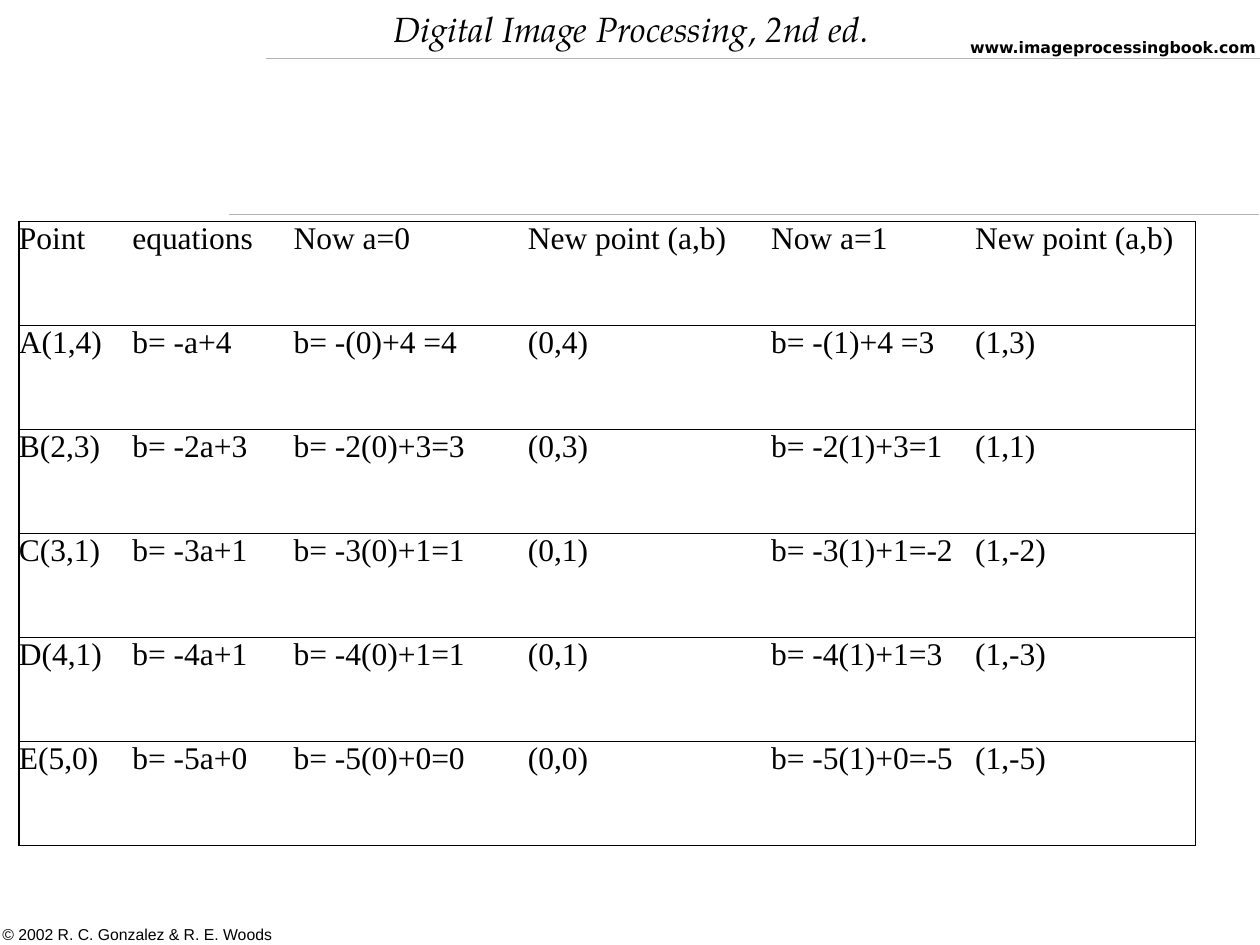
from dataclasses import dataclass

from lxml.etree import SubElement
from pptx import Presentation
from pptx.dml.color import RGBColor
from pptx.enum.shapes import MSO_CONNECTOR
from pptx.enum.text import MSO_ANCHOR, PP_ALIGN
from pptx.oxml import parse_xml
from pptx.oxml.ns import nsdecls, qn
from pptx.util import Inches, Pt

BLACK = RGBColor(0x00, 0x00, 0x00)
WHITE = RGBColor(0xFF, 0xFF, 0xFF)
RULE_GRAY = RGBColor(0xB2, 0xB2, 0xB2)

TABLE_LEFT, TABLE_TOP, TABLE_HEIGHT = 0.15, 1.76, 4.95
COL_WIDTHS = [0.9, 1.28, 1.86, 1.93, 1.62, 1.75]
ROWS = [
    ["Point", "equations", "Now a=0", "New point (a,b)", "Now a=1", "New point (a,b)"],
    ["A(1,4)", "b= -a+4", "b= -(0)+4 =4", "(0,4)", "b= -(1)+4 =3", "(1,3)"],
    ["B(2,3)", "b= -2a+3", "b= -2(0)+3=3", "(0,3)", "b= -2(1)+3=1", "(1,1)"],
    ["C(3,1)", "b= -3a+1", "b= -3(0)+1=1", "(0,1)", "b= -3(1)+1=-2", "(1,-2)"],
    ["D(4,1)", "b= -4a+1", "b= -4(0)+1=1", "(0,1)", "b= -4(1)+1=3", "(1,-3)"],
    ["E(5,0)", "b= -5a+0", "b= -5(0)+0=0", "(0,0)", "b= -5(1)+0=-5", "(1,-5)"],
]


@dataclass
class Label:
    text: str
    left: float
    top: float
    width: float
    height: float
    font: str
    bold: bool = False
    anchor: MSO_ANCHOR = MSO_ANCHOR.TOP
    bottom_inset: float = 0.05


@dataclass
class Rule:
    start: float
    end: float
    y: float


LABELS = [
    Label("www.imageprocessingbook.com", 7.6, 0.25, 2.82, 0.25, "DejaVu Sans", bold=True),
    Label("© 2002 R. C. Gonzalez & R. E. Woods", -0.08, 7.08, 2.43, 0.5, "Arial",
          anchor=MSO_ANCHOR.BOTTOM, bottom_inset=0.09),
]
RULES = [Rule(9.99, 1.82, 1.7), Rule(10, 2.11, 0.46)]


def add_run(p, text: str, font: str, size: float, bold=False, italic=False):
    r = p.add_run()
    r.text = text
    r.font.name = font
    r.font.size = Pt(size)
    r.font.bold = bold
    r.font.italic = italic
    r.font.color.rgb = BLACK
    return r


def add_text_shadow(r) -> None:
    shadow = parse_xml(
        f'<a:effectLst {nsdecls("a")}><a:outerShdw dist="35921" dir="2700000">'
        f'<a:srgbClr val="{RULE_GRAY}"/></a:outerShdw></a:effectLst>')
    r.font._element.find(qn("a:solidFill")).addnext(shadow)


def set_title(slide) -> None:
    sp = slide.shapes.title
    sp.left, sp.top = Inches(3.02), Inches(0.01)
    sp.width, sp.height = Inches(3.98), Inches(0.43)
    tf = sp.text_frame
    tf.word_wrap = False
    tf.vertical_anchor = MSO_ANCHOR.TOP
    p = tf.paragraphs[0]
    p.alignment = PP_ALIGN.CENTER
    r = add_run(p, "Digital Image Processing, 2nd ed.", "TeX Gyre Pagella", 20, italic=True)
    add_text_shadow(r)


def add_label(slide, label: Label) -> None:
    box = slide.shapes.add_textbox(Inches(label.left), Inches(label.top),
                                   Inches(label.width), Inches(label.height))
    tf = box.text_frame
    tf.word_wrap = True
    tf.vertical_anchor = label.anchor
    tf.margin_bottom = Inches(label.bottom_inset)
    add_run(tf.paragraphs[0], label.text, label.font, 9, bold=label.bold)


def add_rule(slide, rule: Rule) -> None:
    line = slide.shapes.add_connector(MSO_CONNECTOR.STRAIGHT, Inches(rule.start), Inches(rule.y),
                                      Inches(rule.end), Inches(rule.y))
    line.line.color.rgb = RULE_GRAY
    line.line.width = Pt(0.25)
    SubElement(line._element.spPr, qn("a:effectLst"))


def set_borders(cell, visible: str) -> None:
    """Draw the sides named in visible (L, R, T, B) and hide the others."""
    tc_pr = cell._tc.get_or_add_tcPr()
    for i, side in enumerate("LRTB"):
        ln = parse_xml(f'<a:ln{side} {nsdecls("a")} w="{Pt(1)}"/>')
        if side in visible:
            fill = SubElement(ln, qn("a:solidFill"))
            SubElement(fill, qn("a:srgbClr"), val=str(BLACK))
        else:
            SubElement(ln, qn("a:noFill"))
        tc_pr.insert(i, ln)


def add_points_table(slide) -> None:
    table = slide.shapes.add_table(
        len(ROWS), len(COL_WIDTHS), Inches(TABLE_LEFT), Inches(TABLE_TOP),
        Inches(sum(COL_WIDTHS)), Inches(TABLE_HEIGHT)).table
    table.first_row = table.horz_banding = False
    for column, width in zip(table.columns, COL_WIDTHS):
        column.width = Inches(width)
    outer_sides = {0: "L", len(COL_WIDTHS) - 1: "R"}
    for i, texts in enumerate(ROWS):
        table.rows[i].height = Inches(TABLE_HEIGHT / len(ROWS))
        for j, text in enumerate(texts):
            cell = table.cell(i, j)
            cell.margin_left = cell.margin_right = 0
            cell.margin_top = cell.margin_bottom = 0
            cell.fill.solid()
            cell.fill.fore_color.rgb = WHITE
            set_borders(cell, "TB" + outer_sides.get(j, ""))
            add_run(cell.text_frame.paragraphs[0], text, "Times New Roman", 18)


def main() -> None:
    prs = Presentation()
    prs.slide_width, prs.slide_height = Inches(10), Inches(7.5)
    slide = prs.slides.add_slide(prs.slide_layouts[5])
    set_title(slide)
    for label in LABELS:
        add_label(slide, label)
    for rule in RULES:
        add_rule(slide, rule)
    add_points_table(slide)
    prs.save("out.pptx")


if __name__ == "__main__":
    main()
